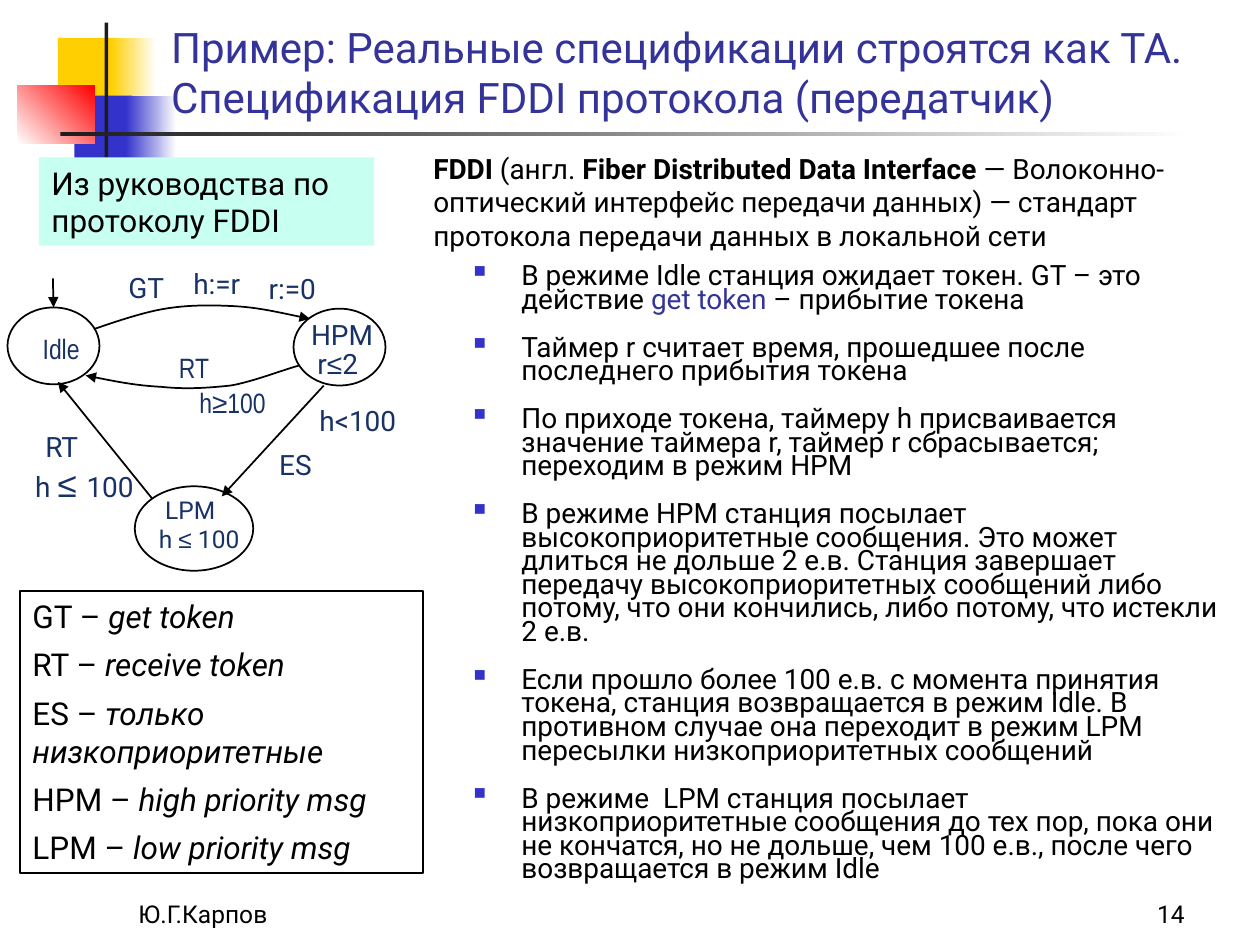
"""Build the slide on the FDDI transmitter specification as a timed automaton."""
from lxml import etree
from pptx import Presentation
from pptx.dml.color import RGBColor
from pptx.enum.shapes import MSO_CONNECTOR, MSO_SHAPE
from pptx.enum.text import MSO_ANCHOR, PP_ALIGN
from pptx.oxml.ns import qn
from pptx.util import Inches, Pt

RECTANGLE, OVAL = MSO_SHAPE.RECTANGLE, MSO_SHAPE.OVAL
STRAIGHT = MSO_CONNECTOR.STRAIGHT
TOP, BOTTOM = MSO_ANCHOR.TOP, MSO_ANCHOR.BOTTOM
LEFT, CENTER, RIGHT = PP_ALIGN.LEFT, PP_ALIGN.CENTER, PP_ALIGN.RIGHT

COLORS = {
    "black": "000000", "white": "FFFFFF", "yellow": "FFCF01", "blue": "3333CC",
    "red": "FF0000", "bar": "1C1C1C", "title": "333399", "label": "183266",
    "mint": "C7FFF0",
}
MAIN, NARROW, SYMBOL = "Roboto", "Arial Narrow", "Arial"

DECORATION = [
    ((0.46, 0.3, 0.48, 0.52), ["yellow"], 0),
    ((0.88, 0.3, 0.36, 0.52), ["yellow", "white"], 0),
    ((0.59, 0.76, 0.46, 0.52), ["blue"], 0),
    ((1, 0.76, 0.4, 0.52), ["blue", "white"], 0),
    ((0.14, 0.68, 0.61, 0.46), ["white", "red"], 45),
    ((0.83, 0.18, 0.03, 1.15), ["bar"], 0),
    ((0.48, 1.05, 9, 0.03), ["bar", "white"], 0),
]
TITLE = ("Пример: Реальные спецификации строятся как ТА.\n"
         "Спецификация FDDI протокола (передатчик)")
AUTHOR, PAGE_NUMBER = "Ю.Г.Карпов", "14"
SOURCE_NOTE = "Из руководства по протоколу FDDI"
DEFINITION = [
    ("FDDI", {"bold": True}),
    (" (англ. ", {}),
    ("Fiber Distributed Data Interface ", {"bold": True}),
    ("— Волоконно-оптический интерфейс передачи данных) — стандарт "
     "протокола передачи данных в локальной сети", {}),
]
RULES = [
    [("В режиме Idle станция ожидает токен. GT – это действие ", {}),
     ("get token", {"color": "title"}),
     (" – прибытие токена", {})],
    "Таймер r считает время, прошедшее после последнего прибытия токена",
    "По приходе токена, таймеру h присваивается значение таймера r, "
    "таймер r сбрасывается; переходим в режим HPM",
    "В режиме HPM станция посылает высокоприоритетные сообщения. Это может "
    "длиться не дольше 2 е.в. Станция завершает передачу высокоприоритетных "
    "сообщений либо потому, что они кончились, либо потому, что истекли 2 е.в.",
    "Если прошло более 100 е.в. с момента принятия токена, станция "
    "возвращается в режим Idle. В противном случае она переходит в режим LPM "
    "пересылки низкоприоритетных сообщений",
    "В режиме  LPM станция посылает низкоприоритетные сообщения до тех пор, "
    "пока они не кончатся, но не дольше, чем 100 е.в., после чего "
    "возвращается в режим Idle",
]
LEGEND = [
    ("GT", "get token"),
    ("RT", "receive token"),
    ("ES", "только низкоприоритетные"),
    ("HPM", "high priority msg"),
    ("LPM", "low priority msg"),
]
STATES = {
    "Idle": (0.06, 2.44, 0.73, 0.61),
    "HPM": (2.33, 2.45, 0.73, 0.61),
    "LPM": (1.07, 3.86, 0.94, 0.67),
}
ARCS = [
    [(0.68, 2.98), (0.88, 3.02), (1.08, 3.06), (1.28, 3.07), (1.47, 3.09),
     (1.64, 3.08), (1.83, 3.06), (2.01, 3.03), (2.29, 2.92), (2.38, 2.9)],
    [(2.46, 2.53), (2.26, 2.49), (2.05, 2.44), (1.86, 2.43), (1.67, 2.42),
     (1.49, 2.42), (1.31, 2.45), (1.12, 2.48), (0.84, 2.58), (0.75, 2.61)],
]
ARROWS = [
    ((2.57, 3.06), (1.76, 3.94)),
    ((1.21, 3.96), (0.46, 3.03)),
]
ENTRY = ((0.42, 2.21), (0.42, 2.44))
SIGN = {"font": SYMBOL}
LABELS = [
    ((0.08, 2.58, 0.81, 0.37), "Idle", 16, NARROW),
    ((2.33, 2.47, 0.77, 0.37), "HPM", 16, MAIN),
    ((1.17, 3.88, 0.68, 0.34), "LPM", 14, MAIN),
    ((1.38, 2.07, 0.68, 0.37), "h:=r", 16, MAIN),
    ((1.98, 2.11, 0.68, 0.37), "r:=0", 16, MAIN),
    ((2.34, 2.7, 0.68, 0.37), [("r", {}), ("≤", SIGN), ("2", {})], 16, MAIN),
    ((1.41, 3.01, 0.87, 0.37), [("h", {}), ("≥", SIGN), ("100", {})], 16, NARROW),
    ((2.34, 3.15, 1, 0.37), "h<100", 16, MAIN),
    ((1.09, 4.11, 0.98, 0.34), [("h ", {}), ("≤", SIGN), (" 100", {})], 14, MAIN),
    ((0.11, 3.62, 1.12, 0.44),
     [("h ", {}), ("≤ ", {"font": SYMBOL, "size": 20}), ("100", {})], 16, MAIN),
    ((0.67, 2.1, 0.98, 0.37), "GT", 16, MAIN),
    ((1.05, 2.73, 0.98, 0.37), "RT", 16, NARROW),
    ((2.03, 3.5, 0.63, 0.37), "ES", 16, MAIN),
    ((0, 3.36, 0.98, 0.37), "RT", 16, MAIN),
]


def rgb(name):
    return RGBColor.from_string(COLORS[name])


def add_block(page, area, kind=RECTANGLE, fills=(), angle=0, outlined=False):
    shape = page.shapes.add_shape(kind, *map(Inches, area))
    shape.shadow.inherit = False
    if len(fills) == 2:
        shape.fill.gradient()
        shape.fill.gradient_angle = angle
        for stop, name in zip(shape.fill.gradient_stops, fills):
            stop.color.rgb = rgb(name)
    elif fills:
        shape.fill.solid()
        shape.fill.fore_color.rgb = rgb(fills[0])
    else:
        shape.fill.background()
    if outlined:
        draw_line(shape)
    else:
        shape.line.fill.background()
    return shape


def draw_line(shape, arrow_end=None):
    shape.line.color.rgb = rgb("black")
    shape.line.width = Pt(1)
    if arrow_end:
        outline = shape.line._get_or_add_ln()
        etree.SubElement(outline, qn(arrow_end), type="triangle")


def write(shape, paragraphs, size, color="black", font=MAIN, align=LEFT,
          anchor=TOP, before=0, after=0, spacing=None):
    frame = shape.text_frame
    frame.word_wrap = True
    frame.vertical_anchor = anchor
    for index, content in enumerate(paragraphs):
        para = frame.add_paragraph() if index else frame.paragraphs[0]
        para.alignment = align
        para.space_before = Pt(before if index else 0)
        para.space_after = Pt(after)
        para.line_spacing = spacing
        if isinstance(content, str):
            para.text = content
            styles = [{}] * len(para.runs)
        else:
            for text, _ in content:
                para.add_run().text = text
            styles = [style for _, style in content]
        for span, style in zip(para.runs, styles):
            span.font.name = style.get("font", font)
            span.font.size = Pt(style.get("size", size))
            span.font.color.rgb = rgb(style.get("color", color))
            span.font.bold = style.get("bold", False)
            span.font.italic = style.get("italic", False)


def add_text(page, area, paragraphs, size, **options):
    box = page.shapes.add_textbox(*map(Inches, area))
    write(box, paragraphs, size, **options)
    return box


def add_bullet(para):
    props = para._p.get_or_add_pPr()
    props.set("marL", str(Inches(0.38)))
    props.set("indent", str(Inches(-0.38)))
    tint = etree.SubElement(props, qn("a:buClr"))
    etree.SubElement(tint, qn("a:srgbClr"), val=COLORS["blue"])
    etree.SubElement(props, qn("a:buSzPct"), val="60000")
    etree.SubElement(props, qn("a:buChar"), char="■")


def add_arc(page, points):
    start, *rest = [tuple(map(Inches, point)) for point in points]
    builder = page.shapes.build_freeform(*start)
    builder.add_line_segments(rest, close=False)
    arc = builder.convert_to_shape()
    segments = arc._element.findall(".//" + qn("a:lnTo"))
    outline = segments[0].getparent()
    for first in range(0, len(segments), 3):
        curve = etree.SubElement(outline, qn("a:cubicBezTo"))
        for segment in segments[first:first + 3]:
            curve.append(segment[0])
            outline.remove(segment)
    arc.shadow.inherit = False
    arc.fill.background()
    draw_line(arc, "a:headEnd")


def add_arrow(page, start, end):
    arrow = page.shapes.add_connector(STRAIGHT, *map(Inches, start + end))
    draw_line(arrow, "a:tailEnd")
    etree.SubElement(arrow._element.spPr, qn("a:effectLst"))
    return arrow


def main():
    deck = Presentation()
    deck.slide_width, deck.slide_height = Inches(10), Inches(7.5)
    page = deck.slides.add_slide(deck.slide_layouts[6])

    for area, fills, angle in DECORATION:
        add_block(page, area, fills=fills, angle=angle)
    add_text(page, (1, 6.92, 2.08, 0.5), [AUTHOR], 14, anchor=BOTTOM)
    add_text(page, (7.42, 6.92, 2.08, 0.5), [PAGE_NUMBER], 14, align=RIGHT, anchor=BOTTOM)
    add_text(page, (1.26, 0.22, 8.7, 0.8), [TITLE], 24, color="title", anchor=BOTTOM)
    rules = add_text(page, (3.66, 2.07, 6.21, 5.06), RULES, 16,
                     before=10, after=4, spacing=0.7)
    for para in rules.text_frame.paragraphs:
        add_bullet(para)

    states = {name: add_block(page, area, OVAL, outlined=True)
              for name, area in STATES.items()}
    for points in ARCS:
        add_arc(page, points)
    for start, end in ARROWS:
        add_arrow(page, start, end)
    add_arrow(page, *ENTRY).end_connect(states["Idle"], 0)
    for area, text, size, font in LABELS:
        add_text(page, area, [text], size, color="label", font=font, align=CENTER)

    write(add_block(page, (0.31, 1.25, 2.66, 0.7), fills=["mint"]), [SOURCE_NOTE], 18)
    legend = [[(f"{term} – ", {}), (meaning, {"italic": True})] for term, meaning in LEGEND]
    write(add_block(page, (0.16, 4.69, 3.2, 2.24), outlined=True), legend, 18, before=6)
    add_text(page, (3.34, 1.15, 6.62, 0.9), [DEFINITION], 16)
    deck.save("out.pptx")


if __name__ == "__main__":
    main()
